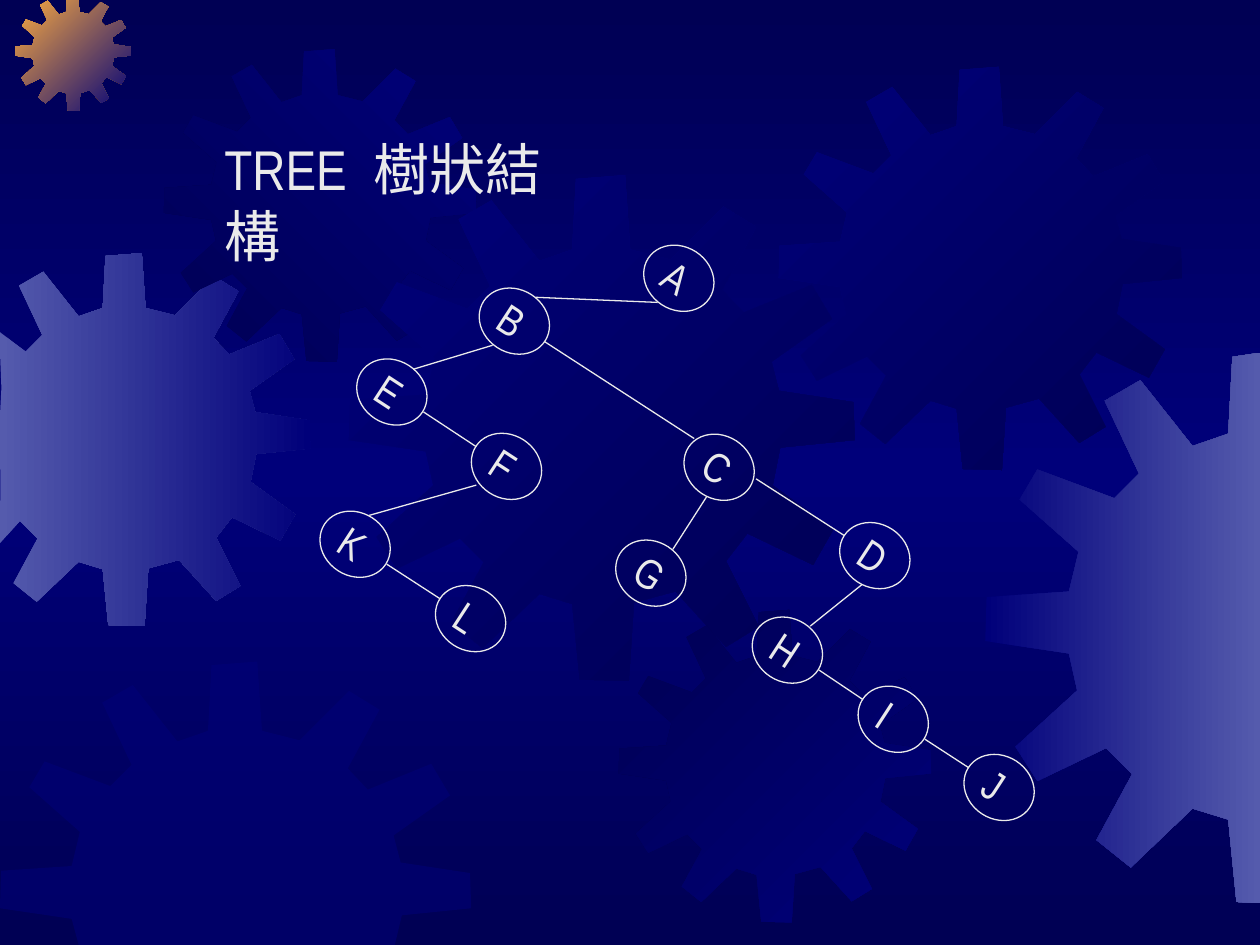
from lxml import etree
from pptx import Presentation
from pptx.dml.color import RGBColor
from pptx.enum.shapes import MSO_CONNECTOR, MSO_SHAPE
from pptx.enum.text import MSO_ANCHOR, PP_ALIGN
from pptx.oxml.ns import qn
from pptx.util import Pt

LINE = MSO_CONNECTOR.STRAIGHT
OVAL = MSO_SHAPE.OVAL
TOP = MSO_ANCHOR.TOP
LEFT = PP_ALIGN.LEFT

WIDE, HIGH = 720, 540
FONT = "Arial Narrow"
COLORS = {"ink": "EAEAEA", "navy": "000054", "blue": "00007A",
          "pale": "555BAD", "gold": "FCAB40"}

# One gear outline, drawn in a square of this side
SIDE = 401
GEAR = [
    (255, 67), (223, 59), (219, 0), (180, 3), (177, 59), (151, 68),
    (113, 20), (87, 35), (112, 88), (94, 106), (38, 85), (25, 107),
    (68, 145), (61, 174), (1, 178), (0, 210), (61, 219), (67, 246),
    (22, 287), (38, 312), (88, 288), (107, 307), (81, 355), (106, 375),
    (151, 332), (177, 340), (183, 400), (222, 401), (226, 339), (259, 330),
    (299, 374), (325, 358), (299, 306), (316, 284), (368, 309), (384, 281),
    (336, 246), (342, 216), (401, 210), (400, 180), (341, 171), (335, 148),
    (383, 114), (367, 87), (313, 109), (296, 91), (323, 41), (297, 25),
]

# Left, top, size, colours, angle
GEARS = [
    (-35.3, 144.7, 213, ("pale", "blue"), 0),
    (8.6, -2.9, 66.2, ("gold", "blue"), 45),
    (93.6, 28.1, 178.6, ("navy", "blue"), 315),
    (199.4, 100.1, 289, ("blue", "navy"), 45),
    (0, 378, 269.3, ("blue",), 0),
    (353.5, 348.5, 178.6, ("navy", "blue"), 45),
    (445, 38.2, 230.4, ("blue", "navy"), 45),
    (563, 201.6, 314.6, ("blue", "pale"), 0),
]

# Left and top of each node
NODES = {
    "A": (367, 141), "B": (273, 165.5), "C": (390, 249), "D": (479, 299.5),
    "E": (203, 206), "F": (268.5, 248.5), "G": (351, 309.5),
    "H": (429, 353.5), "I": (489.5, 393), "J": (550, 432),
    "K": (182, 293), "L": (248, 335.5),
}
TILT = 33.1

# Two nodes, with the offset of each line end from its node
NEXT = ((39, 29.4), (3.7, 6.8))
LINKS = [
    ("AB", (8.8, 31.8), (33, 4.4)),
    ("CG", (13.9, 34.7), (33.5, 4.4)),
    ("BE", (8.5, 31.8), (33.2, 5)),
    ("FK", (3.7, 28.7), (29, 1.5)),
    ("DH", (13.5, 34.6), (34, 4.3)),
    ("BC", (38, 29.6), (6.7, 1.6)),
    ("CD", (42, 24.6), (3.4, 6.5)),
    *[(pair, *NEXT) for pair in ("EF", "HI", "IJ", "KL")],
]


def rgb(name):
    return RGBColor.from_string(COLORS[name])


def grade(fill, root, names, angle):
    """Spread the named colours evenly along a gradient."""
    fill.gradient()
    fill.gradient_angle = -angle % 360
    stops = root.find(".//" + qn("a:gsLst"))
    for stop in list(stops):
        stops.remove(stop)
    for i, name in enumerate(names):
        pos = 100000 * i // (len(names) - 1)
        stop = etree.SubElement(stops, qn("a:gs"), pos=str(pos))
        etree.SubElement(stop, qn("a:srgbClr"), val=COLORS[name])


def write(frame, text, size=24, gap=0):
    """Write one line; gap widens its space, in points."""
    frame.word_wrap = True
    frame.vertical_anchor = TOP
    para = frame.paragraphs[0]
    para.alignment = LEFT
    for part in filter(None, text.partition(" ")):
        run = para.add_run()
        run.text = part
        run.font.size = Pt(size)
        run.font.name = FONT
        run.font.color.rgb = rgb("ink")
        if part == " " and gap:
            run.font._element.set("spc", str(gap * 100))


def gear(shapes, left, top, size, names, angle):
    """Draw a gear, cut off at the slide edges."""
    scale = size / SIDE
    spots = [(Pt(min(max(left + x * scale, 0), WIDE)),
              Pt(min(max(top + y * scale, 0), HIGH))) for x, y in GEAR]
    path = shapes.build_freeform(*spots[0])
    path.add_line_segments(spots[1:], close=True)
    shape = path.convert_to_shape()
    shape.shadow.inherit = False
    shape.line.fill.background()
    if len(names) > 1:
        grade(shape.fill, shape.element, names, angle)
    else:
        shape.fill.solid()
        shape.fill.fore_color.rgb = rgb(names[0])
        color = shape.element.spPr.find(".//" + qn("a:srgbClr"))
        etree.SubElement(color, qn("a:alpha"), val="50000")


def stroke(line):
    line.color.rgb = rgb("ink")
    line.width = Pt(0.75)


def node(shapes, name, left, top):
    oval = shapes.add_shape(OVAL, Pt(left), Pt(top), Pt(41.8), Pt(36))
    oval.rotation = TILT
    oval.shadow.inherit = False
    oval.fill.background()
    stroke(oval.line)
    box = shapes.add_textbox(Pt(left + 6), Pt(top - 0.7), Pt(27.4), Pt(36))
    box.rotation = TILT
    write(box.text_frame, name)


def link(shapes, pair, start, end):
    ends = [Pt(base + off) for name, shift in zip(pair, (start, end))
            for base, off in zip(NODES[name], shift)]
    line = shapes.add_connector(LINE, *ends)
    stroke(line.line)
    etree.SubElement(line.element.spPr, qn("a:effectLst"))


def main():
    deck = Presentation()
    deck.slide_width, deck.slide_height = Pt(WIDE), Pt(HIGH)
    slide = deck.slides.add_slide(deck.slide_layouts[5])
    shapes = slide.shapes

    # Background and gears
    grade(slide.background.fill, slide.element, ("navy", "blue", "navy"), 90)
    for item in GEARS:
        gear(shapes, *item)

    # Title, in front of the gears
    title = shapes.title
    title.left, title.top = Pt(121), Pt(73.4)
    title.width, title.height = Pt(227.5), Pt(46)
    write(title.text_frame, "TREE 樹狀結構", size=32, gap=8)
    shapes.element.append(title.element)

    # Tree
    for name, spot in NODES.items():
        node(shapes, name, *spot)
    for item in LINKS:
        link(shapes, *item)

    deck.save("out.pptx")


if __name__ == "__main__":
    main()
